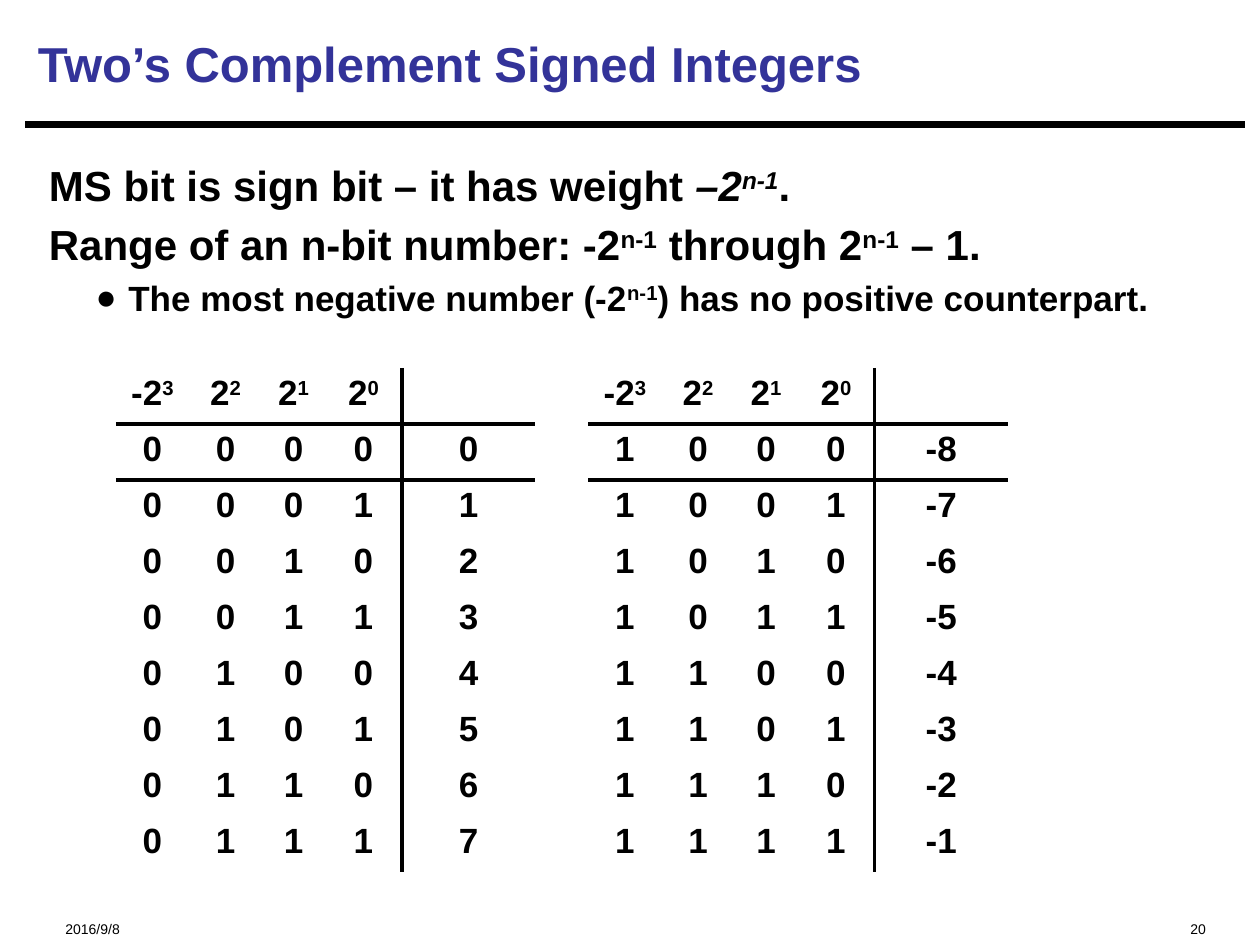
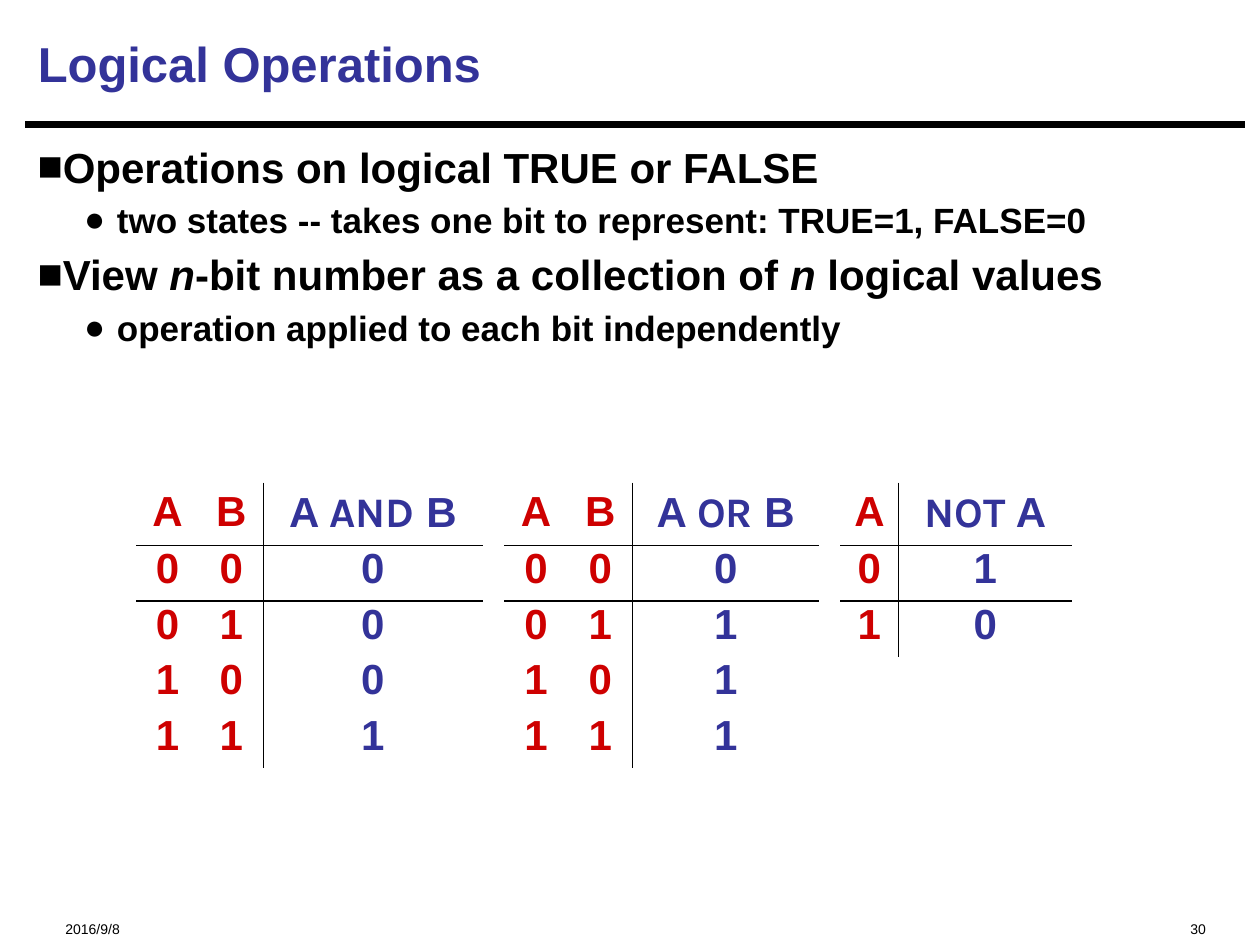
from itertools import product

from lxml import etree
from pptx import Presentation
from pptx.dml.color import RGBColor
from pptx.enum import shapes, text
from pptx.oxml import ns
from pptx.util import Inches, Pt

FONT = "Arial"
GATE_FONT = "Karla"
BLACK, BLUE, RED = "000000", "333399", "CE0000"
NO_STYLE = "{2D5ABB26-0587-4C30-8999-92F81FD0307C}"
RAISED = {"raised": True}
ITALIC = {"italic": True}


def rgb(value):
    return RGBColor.from_string(value)


def add_element(parent, tag, **attributes):
    return etree.SubElement(parent, ns.qn(tag), attributes)


def add_span(para, content, size=24, color=BLACK, bold=True, italic=False,
             font=FONT, raised=False):
    span = para.add_run()
    span.text = content
    span.font.name = font
    span.font.size = Pt(size)
    span.font.bold = bold
    span.font.italic = italic
    span.font.color.rgb = rgb(color)
    if raised:
        span.font._element.set("baseline", "30000")


def write_para(para, spans, align=None, spacing=None, bullet=None,
               margin=0, indent=0, gap=True, **style):
    para.alignment = align
    props = para._p.get_or_add_pPr()
    props.set("marL", str(Inches(margin)))
    props.set("indent", str(Inches(indent)))
    if spacing:
        para.line_spacing = spacing
    if gap:
        before = add_element(props, "a:spcBef")
        add_element(before, "a:spcPct", val="20000")
    if bullet:
        add_element(props, "a:buFont", typeface=FONT)
        add_element(props, "a:buChar", char=bullet)
    for content, changes in spans:
        add_span(para, content, **{**style, **changes})


def add_box(page, left, top, width, height):
    box = page.shapes.add_textbox(Inches(left), Inches(top), Inches(width), Inches(height))
    box.text_frame.word_wrap = True
    return box.text_frame


def add_body(page, place, paras):
    frame = add_box(page, *place)
    for index, (level, bullet, spans) in enumerate(paras):
        para = frame.add_paragraph() if index else frame.paragraphs[0]
        if level:
            para.level = level
            write_para(para, spans, bullet=bullet, margin=0.63, indent=-0.26, size=20)
        else:
            write_para(para, spans, bullet=bullet)


def add_footer(page, content, left, width, align):
    frame = add_box(page, left, 7.15, width, 0.27)
    frame.margin_top, frame.margin_bottom = Inches(0.18), 0
    write_para(frame.paragraphs[0], [(content, {})], align=align, gap=False,
               size=8, bold=False)


def add_page(deck, title, number):
    page = deck.slides.add_slide(deck.slide_layouts[5])
    holder = page.shapes.title
    holder.left, holder.top = Inches(0.2), Inches(0.08)
    holder.width, holder.height = Inches(9.67), Inches(0.84)
    frame = holder.text_frame
    frame.auto_size = text.MSO_AUTO_SIZE.NONE
    frame.vertical_anchor = text.MSO_ANCHOR.MIDDLE
    write_para(frame.paragraphs[0], [(title, {})], align=text.PP_ALIGN.LEFT,
               gap=False, size=28, color=BLUE)
    rule = page.shapes.add_connector(shapes.MSO_CONNECTOR.STRAIGHT, Inches(0.2),
                                     Inches(0.99), Inches(9.88), Inches(0.99))
    rule.line.color.rgb = rgb(BLACK)
    rule.line.width = Pt(3.75)
    add_element(rule._element.spPr, "a:effectLst")
    add_footer(page, "2016/9/8", 0.42, 2.5, text.PP_ALIGN.LEFT)
    add_footer(page, str(number), 6.67, 3, text.PP_ALIGN.RIGHT)
    return page


def add_borders(cell, sides, width):
    props = cell._tc.get_or_add_tcPr()
    for side in sides:
        line = add_element(props, "a:ln" + side, w=str(Pt(width)))
        fill = add_element(line, "a:solidFill")
        add_element(fill, "a:srgbClr", val=BLACK)


def add_truth_table(page, left, top, widths, heights, rows, border,
                    size, result_color=BLACK, input_color=BLACK, spacing=None):
    frame = page.shapes.add_table(len(rows), len(widths), Inches(left), Inches(top),
                                  Inches(sum(widths)), Inches(sum(heights)))
    table = frame.table
    table.first_row = table.horz_banding = False
    table._tbl.tblPr.find(ns.qn("a:tableStyleId")).text = NO_STYLE
    for column, width in zip(table.columns, widths):
        column.width = Inches(width)
    for row, height in zip(table.rows, heights):
        row.height = Inches(height)
    result = len(widths) - 1
    for r, values in enumerate(rows):
        for c, spans in enumerate(values):
            cell = table.cell(r, c)
            write_para(cell.text_frame.paragraphs[0], spans, size=size,
                       align=text.PP_ALIGN.CENTER, spacing=spacing if r else None,
                       color=result_color if c == result else input_color)
            edges = {"L": c == result, "R": c == result - 1, "T": r == 1, "B": r == 0}
            add_borders(cell, [side for side, drawn in edges.items() if drawn], border)
            cell.fill.background()


def plain(values):
    return [[(str(value), {})] for value in values]


def add_signed_table(page, left, numbers):
    header = [[("-2" if power == 3 else "2", {}), (str(power), RAISED)]
              for power in (3, 2, 1, 0)] + [[]]
    rows = [plain([*format(number % 16, "04b"), number]) for number in numbers]
    add_truth_table(page, left, 2.92, [0.58, 0.58, 0.5, 0.61, 1.06], [4 / 9] * 9,
                    [header, *rows], border=2.25, size=20)


def add_gate_table(page, left, widths, inputs, label, gate):
    rows = [plain([*bits, int(gate(*bits))])
            for bits in product((0, 1), repeat=len(inputs))]
    add_truth_table(page, left, 3.83, widths, [0.5] + [0.44] * len(rows),
                    [plain(inputs) + [label], *rows], border=1, size=24,
                    result_color=BLUE, input_color=RED, spacing=0.85)


def build_signed_integers(deck):
    page = add_page(deck, "Two’s Complement Signed Integers", 20)
    power = ("n-1", RAISED)
    add_body(page, (0.29, 1.22, 9.24, 1.71), [
        (0, None, [("MS bit is sign bit – it has weight ", {}), ("–2", ITALIC),
                   ("n-1", {**ITALIC, **RAISED}), (".", {})]),
        (0, None, [("Range of an n-bit number: -2", {}), power,
                   (" through 2", {}), power, (" – 1.", {})]),
        (1, "●", [("The most negative number (-2", {}), power,
                  (") has no positive counterpart.", {})]),
    ])
    add_signed_table(page, 0.92, range(8))
    add_signed_table(page, 4.67, range(-8, 0))


def build_logical_operations(deck):
    page = add_page(deck, "Logical Operations", 30)
    add_body(page, (0.2, 1.07, 9.67, 5.99), [
        (0, "■", [("Operations on logical TRUE or FALSE", {})]),
        (1, "●", [("two states -- takes one bit to represent: TRUE=1, FALSE=0", {})]),
        (0, "■", [("View ", {}), ("n", ITALIC), ("-bit number as a collection of ", {}),
                  ("n", ITALIC), (" logical values", {})]),
        (1, "●", [("operation applied to each bit independently", {})]),
    ])
    gate_font = {"font": GATE_FONT}
    add_gate_table(page, 1.08, [0.5, 0.51, 1.74], "AB",
                   [("A ", {}), ("AND", gate_font), (" B", {})], lambda a, b: a and b)
    add_gate_table(page, 4, [0.51, 0.51, 1.48], "AB",
                   [("A ", {}), ("OR", gate_font), (" B", {})], lambda a, b: a or b)
    add_gate_table(page, 6.67, [0.46, 1.38], "A",
                   [("NOT", gate_font), (" A", {})], lambda a: not a)


def main():
    deck = Presentation()
    deck.slide_width, deck.slide_height = Inches(10), Inches(7.5)
    build_signed_integers(deck)
    build_logical_operations(deck)
    deck.save("out.pptx")


main()
